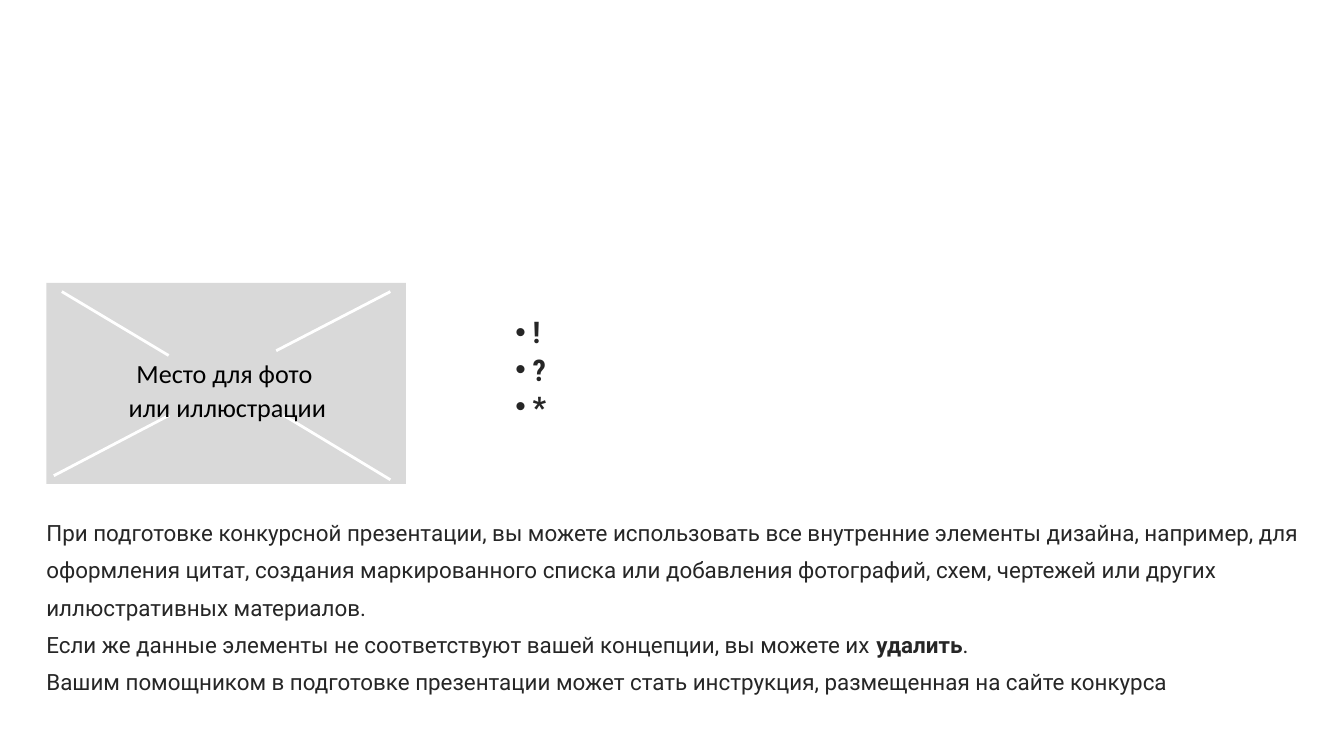
from pptx import Presentation
from pptx import util as u
from pptx.dml.color import RGBColor
from pptx.enum import shapes, text
from pptx.oxml import xmlchemy as xc

PX = 4572  # EMU in one px: 200 px to the inch
GREY, WHITE, BLACK, INK = "D9D9D9", "FFFFFF", "000000", "262626"


def px(*vals):
    return [u.Emu(v * PX) for v in vals]


def hue(code):
    return RGBColor.from_string(code)


def apply(obj, fmt):
    for key, val in fmt.items():
        setattr(obj, key, val)


def add_bullet(para, sign):
    props = para._p.get_or_add_pPr()
    for tag, key, val in [("a:buFont", "typeface", "Arial"),
                          ("a:buChar", "char", sign)]:
        node = xc.OxmlElement(tag)
        node.set(key, val)
        props.append(node)


def add_text(slide, box, paras, font, color, lead, align=None, bullet=None):
    """Each paragraph is a list of (words, bold) runs."""
    frame = slide.shapes.add_textbox(*px(*box)).text_frame
    apply(frame, dict(word_wrap=True, margin_left=0, margin_right=0,
                      margin_top=0, margin_bottom=0,
                      auto_size=text.MSO_AUTO_SIZE.SHAPE_TO_FIT_TEXT))
    for i, runs in enumerate(paras):
        para = frame.paragraphs[0] if i == 0 else frame.add_paragraph()
        apply(para, dict(line_spacing=u.Pt(lead), alignment=align))
        if bullet:
            add_bullet(para, bullet)
        for words, bold in runs:
            run = para.add_run()
            run.text = words
            apply(run.font, dict(font, bold=bold))
            run.font.color.rgb = hue(color)


def add_photo(slide, box):
    """Grey photo frame with four corner strokes and a caption."""
    x, y, w, h = box
    group = slide.shapes.add_group_shape()
    rect = group.shapes.add_shape(shapes.MSO_SHAPE.RECTANGLE, *px(*box))
    rect.shadow.inherit = False
    rect.fill.solid()
    rect.fill.fore_color.rgb = hue(GREY)
    rect.line.fill.background()

    # Corner strokes
    for x1, y1, x2, y2 in [(23, 13, 182, 108), (353, 197, 512, 293),
                           (512, 13, 342, 101), (183, 197, 11, 287)]:
        line = group.shapes.add_connector(
            shapes.MSO_CONNECTOR.STRAIGHT,
            *px(x + x1, y + y1, x + x2, y + y2))
        line.line.color.rgb = hue(WHITE)
        line.line.width = u.Pt(1.5)
        line._element.spPr.append(xc.OxmlElement("a:effectLst"))

    # Caption
    add_text(slide, (x + 2, y + 108, w, 100),
             [[("Место для фото ", False)], [("или иллюстрации", False)]],
             dict(name="Calibri", size=u.Pt(14)), BLACK, 18,
             align=text.PP_ALIGN.CENTER)


def add_list(slide, box):
    """Bulleted list of marks."""
    add_text(slide, box, [[(f" {sign}", True)] for sign in "!?*"],
             dict(name="Roboto Condensed", size=u.Pt(16)), INK, 20,
             bullet="•")


def add_notice(slide, box):
    """Advice across the foot of the slide."""
    paras = [
        [("При подготовке конкурсной презентации, вы можете использовать все "
          "внутренние элементы дизайна, например, для оформления цитат, "
          "создания маркированного списка или добавления фотографий, схем, "
          "чертежей или других иллюстративных материалов.", False)],
        [("Если же данные элементы не соответствуют вашей концепции, "
          "вы можете их ", False), ("удалить", True), (".", False)],
        [("Вашим помощником в подготовке презентации может стать "
          "инструкция, размещенная на сайте конкурса", False)],
    ]
    add_text(slide, box, paras, dict(name="Roboto", size=u.Pt(12)), INK, 20)


def main():
    deck = Presentation()
    deck.slide_width, deck.slide_height = px(2000, 1125)
    slide = deck.slides.add_slide(deck.slide_layouts[6])
    add_photo(slide, (69, 421, 535, 299))
    add_list(slide, (767, 465, 866, 167))
    add_notice(slide, (69, 757, 1876, 280))
    deck.save("out.pptx")


if __name__ == "__main__":
    main()
